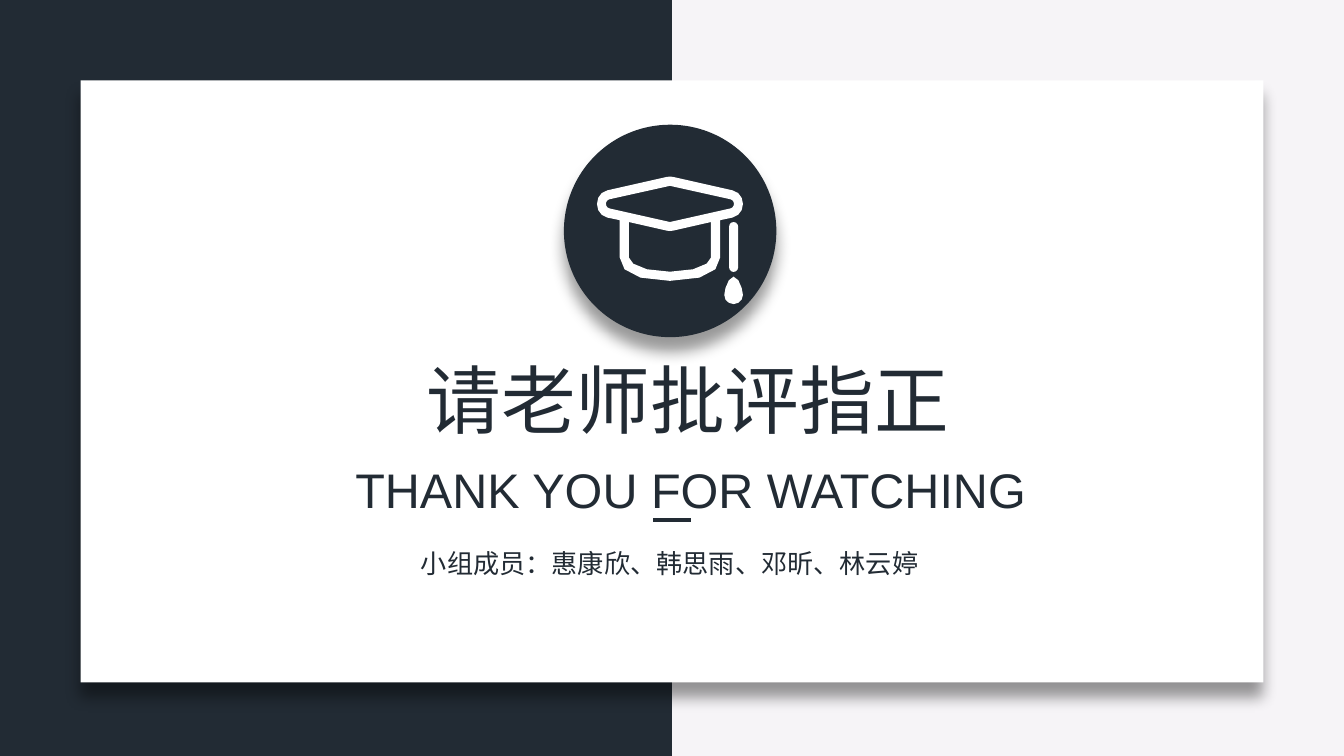
from dataclasses import dataclass

from lxml.etree import SubElement
from pptx import Presentation
from pptx.dml.color import RGBColor
from pptx.enum.shapes import MSO_CONNECTOR as Connector, MSO_SHAPE as Shape
from pptx.enum.text import MSO_AUTO_SIZE as AutoSize, PP_ALIGN as Align
from pptx.oxml import parse_xml
from pptx.oxml.ns import nsdecls, qn
from pptx.util import Pt


@dataclass(frozen=True)
class Theme:
    ink: str = "222B34"
    paper: str = "FFFFFF"
    backdrop: str = "F6F4F7"
    title_size: int = 40
    thanks_size: int = 26
    members_size: int = 14
    body_font: str = "Calibri"
    latin_font: str = "Arial"


THEME = Theme()

CAP_X, CORD_X = 358.9, 393
CAP_RIM = [
    (0, 94.6), (2, 94.9), (33.5, 102),
    (37, 102.8, 39.1, 105.8, 39.1, 109.3), (39.1, 112.8, 37, 115.8, 33.5, 116.6),
    (26.9, 118), (26.9, 138), (26.9, 144.9, 19.8, 150.5, 0, 150.5),
]
CAP_BOARD = [
    (0, 99.6), (32.4, 106.8), (33.6, 107.1, 34.3, 108.1, 34.3, 109.2),
    (34.3, 110.4, 33.6, 111.4, 32.4, 111.7), (0, 119),
]
CAP_BOWL = [
    (0, 123.8), (1.7, 123.6), (22, 119), (22, 138), (22, 141, 15, 145.6, 0, 145.6),
]
CORD = [
    (0, 119), (1.4, 119, 2.4, 120.1, 2.4, 121.4), (2.4, 143.3),
    (2.4, 144.6, 1.4, 145.7, 0, 145.7),
]
TASSEL = [
    (0, 148.2), (2.8, 148.2, 5, 155.4, 5, 158), (5, 160.7, 2.8, 162.9, 0, 162.9),
]


def paint(shape, color):
    shape.shadow.inherit = False
    shape.fill.solid()
    shape.fill.fore_color.rgb = RGBColor.from_string(color)
    shape.line.fill.background()


def cast_shadow(shape):
    effects = shape._element.spPr.find(qn("a:effectLst"))
    effects.append(parse_xml(
        f'<a:outerShdw {nsdecls("a")} blurRad="{Pt(8)}" dist="{Pt(8)}" dir="5400000" '
        'algn="t" rotWithShape="0"><a:srgbClr val="000000"><a:alpha val="40000"/>'
        '</a:srgbClr></a:outerShdw>'))


def add_panel(shapes, kind, box, color, shadow=False):
    panel = shapes.add_shape(kind, *map(Pt, box))
    paint(panel, color)
    if shadow:
        cast_shadow(panel)


def cubic(points, t):
    while len(points) > 1:
        points = [((1 - t) * ax + t * bx, (1 - t) * ay + t * by)
                  for (ax, ay), (bx, by) in zip(points, points[1:])]
    return points[0]


def mirrored_outline(half, axis, steps=3):
    right = [half[0]]
    for segment in half[1:]:
        if len(segment) == 2:
            right.append(segment)
        else:
            controls = [right[-1], segment[:2], segment[2:4], segment[4:]]
            right += [cubic(controls, step / steps) for step in range(1, steps + 1)]
    left = [(-x, y) for x, y in reversed(right[1:-1])]
    return [(Pt(axis + x), Pt(y)) for x, y in right + left]


def add_symmetric(shapes, halves, axis, color):
    first, *holes = [mirrored_outline(half, axis) for half in halves]
    builder = shapes.build_freeform(*first[0], scale=1.0)
    builder.add_line_segments(first[1:], close=True)
    for hole in holes:
        builder.move_to(*hole[0])
        builder.add_line_segments(hole[1:], close=True)
    paint(builder.convert_to_shape(), color)


def add_text(shapes, text, box, *, size, font=THEME.body_font, color=THEME.ink,
             align=Align.LEFT):
    frame = shapes.add_textbox(*map(Pt, box)).text_frame
    frame.word_wrap = False
    frame.auto_size = AutoSize.SHAPE_TO_FIT_TEXT
    paragraph = frame.paragraphs[0]
    paragraph.alignment = align
    run = paragraph.add_run()
    run.text = text
    run.font.size = Pt(size)
    run.font.name = font
    run.font.color.rgb = RGBColor.from_string(color)


def add_rule(shapes, start, end, color, width):
    rule = shapes.add_connector(Connector.STRAIGHT, *map(Pt, start + end))
    rule.line.color.rgb = RGBColor.from_string(color)
    rule.line.width = Pt(width)
    SubElement(rule._element.spPr, qn("a:effectLst"))


def add_emblem(shapes):
    emblem = shapes.add_group_shape().shapes
    add_panel(emblem, Shape.OVAL, (302.1, 66.8, 113.8, 113.8), THEME.ink, shadow=True)
    add_symmetric(emblem, [CAP_RIM, CAP_BOARD, CAP_BOWL], CAP_X, THEME.paper)
    for tassel_part in (CORD, TASSEL):
        add_symmetric(emblem, [tassel_part], CORD_X, THEME.paper)


def main():
    deck = Presentation()
    deck.slide_width, deck.slide_height = Pt(720), Pt(405)
    slide = deck.slides.add_slide(deck.slide_layouts[6])
    backdrop = slide.background.fill
    backdrop.solid()
    backdrop.fore_color.rgb = RGBColor.from_string(THEME.backdrop)

    shapes = slide.shapes
    add_panel(shapes, Shape.RECTANGLE, (0, 0, 360, 405), THEME.ink)
    add_panel(shapes, Shape.RECTANGLE, (43.2, 43, 633.6, 322.6), THEME.paper, shadow=True)
    add_text(shapes, "请老师批评指正", (221.5, 186, 297.4, 55.4), size=THEME.title_size)
    add_rule(shapes, (350, 278.6), (370, 278.6), THEME.ink, 2.25)
    add_emblem(shapes)
    add_text(shapes, "小组成员：惠康欣、韩思雨、邓昕、林云婷",
             (218.4, 289.8, 283, 24.5), size=THEME.members_size)
    add_text(shapes, "THANK YOU FOR WATCHING", (181.6, 243, 377.3, 38.9),
             size=THEME.thanks_size, font=THEME.latin_font, align=Align.CENTER)
    deck.save("out.pptx")


main()
